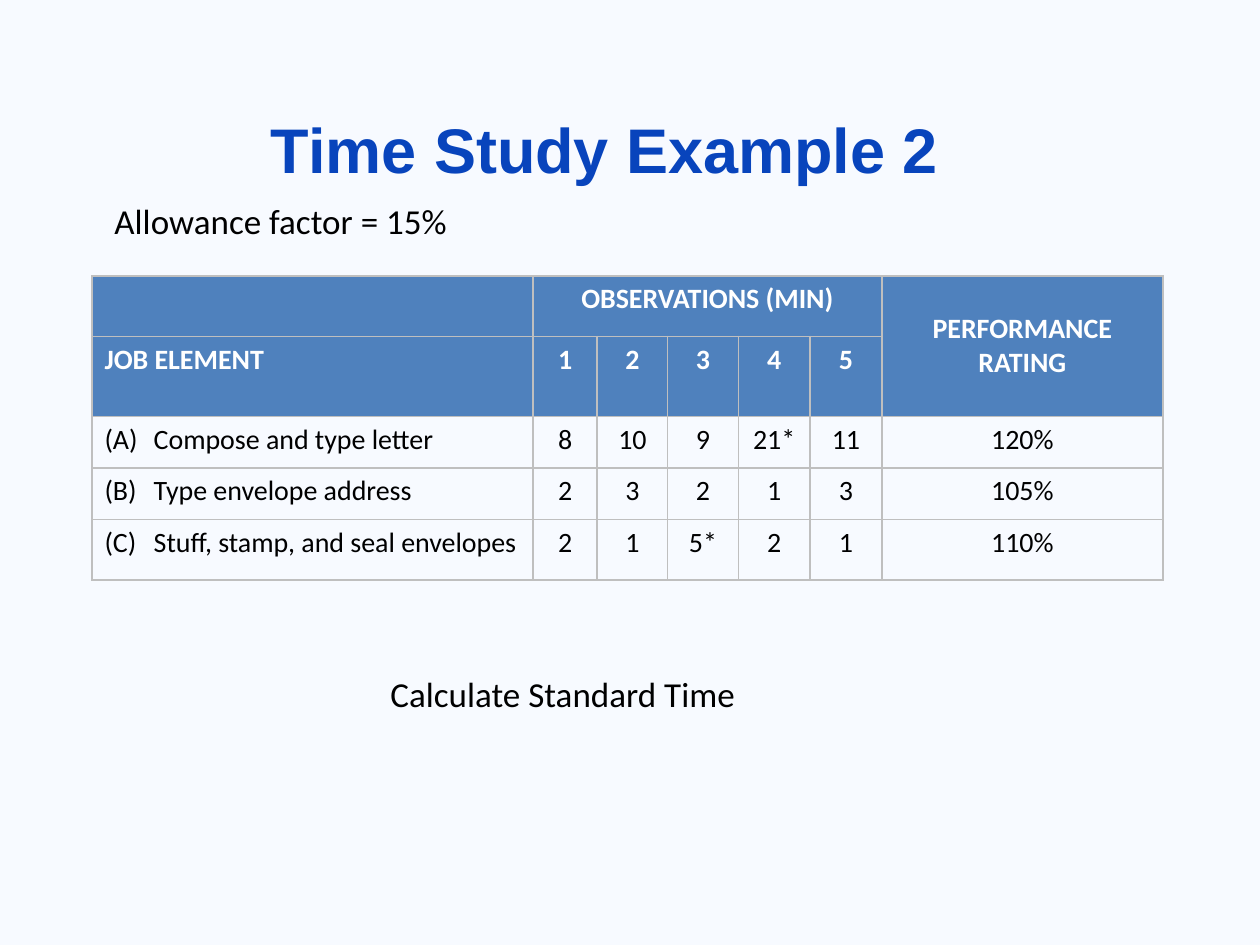
from dataclasses import dataclass

from lxml.etree import SubElement
from pptx import Presentation
from pptx.dml.color import RGBColor
from pptx.enum.text import MSO_ANCHOR, PP_ALIGN
from pptx.oxml.ns import qn
from pptx.util import Inches, Pt


@dataclass(frozen=True)
class Theme:
    page: str = "F7FAFF"
    title: str = "0844BC"
    ink: str = "000000"
    header: str = "4F81BD"
    header_ink: str = "FFFFFF"
    border: str = "BFBFBF"
    title_font: str = "Arial"
    body_font: str = "Calibri"
    title_size: int = 36
    note_size: int = 20
    table_size: int = 16


THEME = Theme()
COLUMN_WIDTHS = [3.5, 0.51, 0.56, 0.56, 0.57, 0.57, 2.23]
ROW_HEIGHTS = [0.48, 0.63, 0.41, 0.41, 0.48]
HEADER_ROWS = 2
ROWS = [
    ["", "OBSERVATIONS (MIN)", "", "", "", "", "PERFORMANCE RATING"],
    ["JOB ELEMENT", "1", "2", "3", "4", "5", ""],
    ["(A)\tCompose and type letter", "8", "10", "9", "21*", "11", "120%"],
    ["(B)\tType envelope address", "2", "3", "2", "1", "3", "105%"],
    ["(C)\tStuff, stamp, and seal envelopes", "2", "1", "5*", "2", "1", "110%"],
]


def write_text(frame, text, *, size, font=THEME.body_font, color=THEME.ink,
               bold=False, align=PP_ALIGN.LEFT, line_spacing=None, hanging=None):
    para = frame.paragraphs[0]
    para.alignment = align
    para.line_spacing = line_spacing
    if hanging:
        properties = para._p.get_or_add_pPr()
        properties.set("marL", str(hanging))
        properties.set("indent", str(-hanging))
    span = para.add_run()
    span.text = text
    span.font.name = font
    span.font.size = Pt(size)
    span.font.bold = bold
    span.font.color.rgb = RGBColor.from_string(color)


def add_text_box(page, box, text, margin=None, **text_format):
    frame = page.shapes.add_textbox(*map(Inches, box)).text_frame
    frame.word_wrap = True
    if margin is not None:
        frame.margin_left = frame.margin_right = Inches(margin)
        frame.margin_top = frame.margin_bottom = Inches(margin)
    write_text(frame, text, **text_format)


def add_title(page, box, text):
    add_text_box(page, box, text, margin=0, size=THEME.title_size,
                 font=THEME.title_font, color=THEME.title, bold=True)


def add_note(page, box, text):
    add_text_box(page, box, text, size=THEME.note_size, line_spacing=0.9)


def set_borders(cell):
    properties = cell._tc.get_or_add_tcPr()
    for side in ("lnL", "lnR", "lnT", "lnB"):
        line = SubElement(properties, qn(f"a:{side}"), w=str(Pt(1)))
        fill = SubElement(line, qn("a:solidFill"))
        SubElement(fill, qn("a:srgbClr"), val=THEME.border)


def format_cell(cell, text, row, column):
    is_header = row < HEADER_ROWS
    set_borders(cell)
    if is_header:
        cell.fill.solid()
        cell.fill.fore_color.rgb = RGBColor.from_string(THEME.header)
    else:
        cell.fill.background()
    if text:
        write_text(cell.text_frame, text, size=THEME.table_size, bold=is_header,
                   color=THEME.header_ink if is_header else THEME.ink,
                   align=PP_ALIGN.CENTER if column else PP_ALIGN.LEFT,
                   hanging=Inches(0.39) if "\t" in text else None)


def add_observation_table(page, box):
    table = page.shapes.add_table(
        len(ROWS), len(COLUMN_WIDTHS), *map(Inches, box)).table
    table.first_row = table.horz_banding = False
    for column, width in zip(table.columns, COLUMN_WIDTHS):
        column.width = Inches(width)
    for row, height in zip(table.rows, ROW_HEIGHTS):
        row.height = Inches(height)
    for row, texts in enumerate(ROWS):
        for column, text in enumerate(texts):
            format_cell(table.cell(row, column), text, row, column)
    table.cell(0, 1).merge(table.cell(0, 5))
    rating = table.cell(0, 6)
    rating.merge(table.cell(1, 6))
    rating.vertical_anchor = MSO_ANCHOR.MIDDLE


def main():
    deck = Presentation()
    deck.slide_width, deck.slide_height = Inches(10), Inches(7.5)
    page = deck.slides.add_slide(deck.slide_layouts[6])
    page.background.fill.solid()
    page.background.fill.fore_color.rgb = RGBColor.from_string(THEME.page)
    add_title(page, (2.15, 0.88, 5.7, 0.61), "Time Study Example 2")
    add_note(page, (0.81, 1.57, 3.15, 0.41), "Allowance factor = 15%")
    add_observation_table(
        page, (0.73, 2.19, sum(COLUMN_WIDTHS), sum(ROW_HEIGHTS)))
    add_note(page, (3, 5.33, 3.47, 0.4), "Calculate Standard Time")
    deck.save("out.pptx")


if __name__ == "__main__":
    main()
